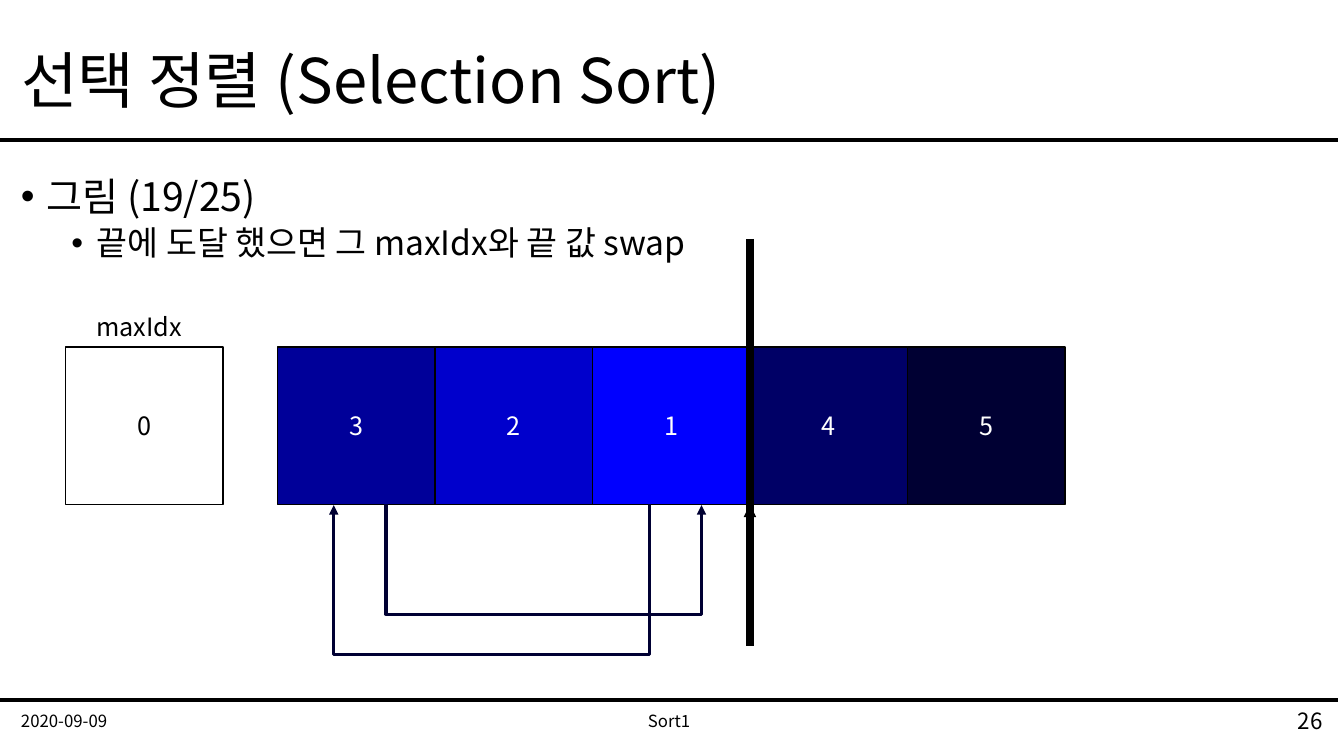
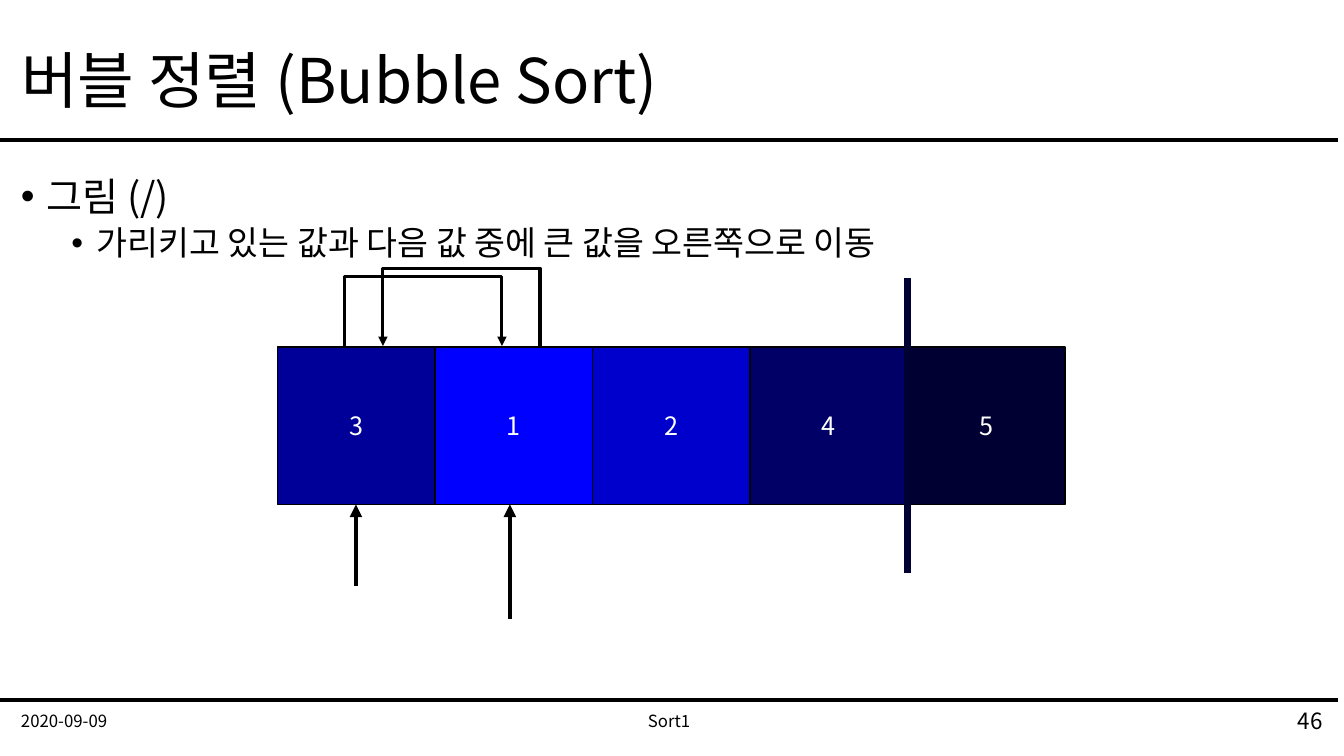
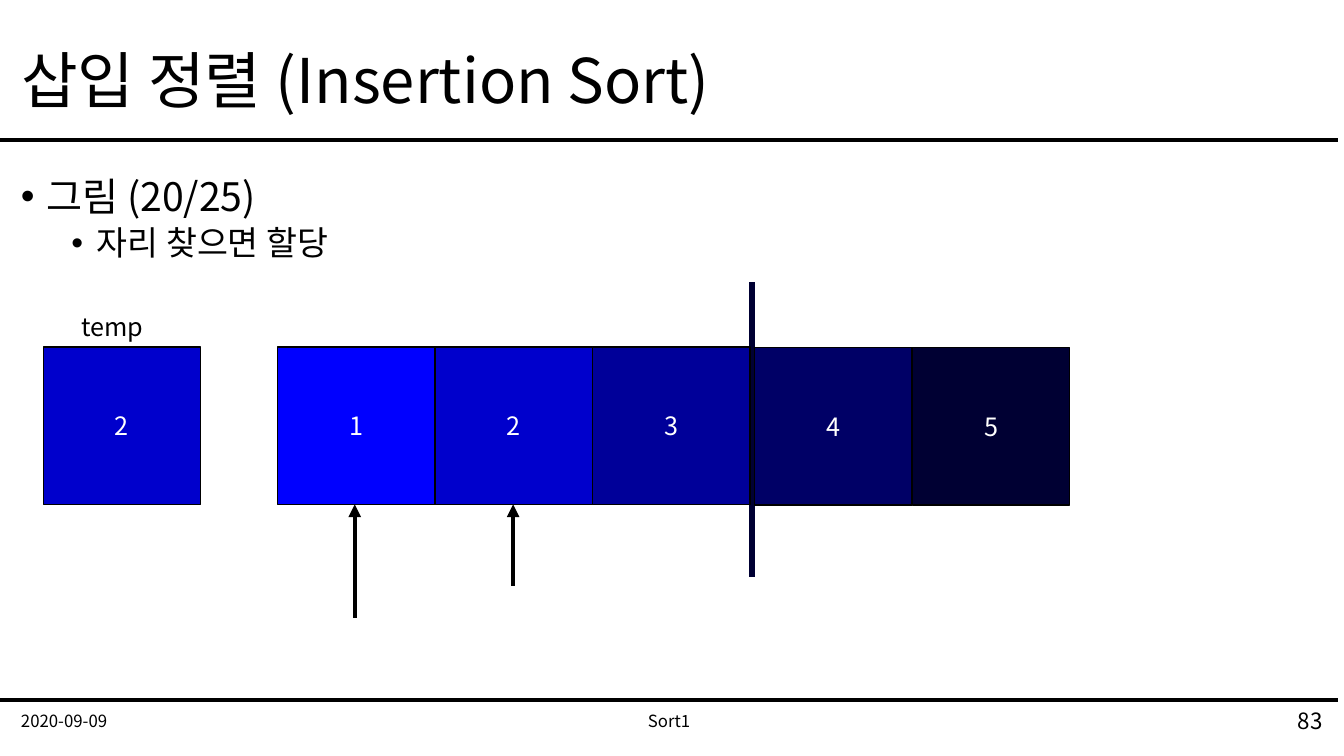
from lxml.etree import SubElement
from pptx import Presentation
from pptx.dml.color import RGBColor
from pptx.enum.shapes import MSO_CONNECTOR as Connector, MSO_SHAPE as Shape
from pptx.enum.text import MSO_ANCHOR as Anchor, PP_ALIGN as Align
from pptx.oxml.ns import qn
from pptx.util import Cm, Pt

FONT = "Noto Sans CJK KR"
BLACK, WHITE, NAVY = "000000", "FFFFFF", "000033"
SIDE, ROW_LEFT, ROW_TOP = 3.97, 6.99, 8.74
ROW_BOTTOM = ROW_TOP + SIDE
MARGIN, FULL_WIDTH = 0.28, 33.3
FOOTER_TOP, FOOTER_HEIGHT = 17.65, 1.02
BEND = 0.04


def color(value):
    return RGBColor.from_string(value)


def style(para, size, ink=BLACK, align=Align.LEFT):
    para.alignment = align
    for span in para.runs:
        span.font.size = Pt(size)
        span.font.name = FONT
        span.font.color.rgb = color(ink)
        SubElement(span.font._element, qn("a:ea"), typeface=FONT)


def add_text(slide, area, text, size, align=Align.LEFT, anchor=Anchor.MIDDLE):
    box = slide.shapes.add_textbox(*map(Cm, area))
    frame = box.text_frame
    frame.word_wrap = True
    frame.vertical_anchor = anchor
    frame.text = text
    style(frame.paragraphs[0], size, align=align)


def add_bullets(slide, heading, detail):
    box = slide.shapes.add_textbox(Cm(MARGIN), Cm(4.34), Cm(FULL_WIDTH), Cm(12.78))
    frame = box.text_frame
    frame.word_wrap = True
    frame.text = f"{heading}\n{detail}"
    levels = ((28, 10, 0.64), (24, 5, 1.91))
    for level, (para, (size, space, indent)) in enumerate(zip(frame.paragraphs, levels)):
        para.level = level
        para.line_spacing = 0.9
        para.space_before = Pt(space)
        style(para, size)
        properties = para._p.get_or_add_pPr()
        properties.set("marL", str(Cm(indent)))
        properties.set("indent", str(-Cm(0.64)))
        SubElement(properties, qn("a:buFont"), typeface="Arial")
        SubElement(properties, qn("a:buChar"), char="•")


def add_line(slide, start, end, width, ink=BLACK, arrow=False, kind=Connector.STRAIGHT):
    line = slide.shapes.add_connector(kind, *map(Cm, (*start, *end)))
    line.line.width = Pt(width)
    line.line.color.rgb = color(ink)
    if arrow:
        SubElement(line.line._get_or_add_ln(), qn("a:tailEnd"), type="triangle")
    SubElement(line._element.spPr, qn("a:effectLst"))
    return line


def add_swap_arrow(slide, start_x, end_x, y, depth, ink, below):
    rightward = end_x > start_x
    middle, half = (start_x + end_x) / 2, abs(end_x - start_x) / 2
    line = add_line(slide, (middle - BEND / 2, y - half), (middle + BEND / 2, y + half),
                    2.25, ink, arrow=True, kind=Connector.ELBOW)
    properties = line._element.spPr
    frame = properties.find(qn("a:xfrm"))
    frame.set("rot", str((270 if rightward == below else 90) * 60000))
    frame.set("flipH", str(int(rightward)))
    frame.set("flipV", str(int(not below)))
    guides = properties.find(qn("a:prstGeom")).find(qn("a:avLst"))
    SubElement(guides, qn("a:gd"), name="adj1", fmla=f"val {round(depth / BEND * 100000)}")


def add_cell(slide, left, top, text, fill, ink=WHITE):
    cell = slide.shapes.add_shape(Shape.RECTANGLE, *map(Cm, (left, top, SIDE, SIDE)))
    cell.shadow.inherit = False
    cell.fill.solid()
    cell.fill.fore_color.rgb = color(fill)
    cell.line.color.rgb = color(BLACK)
    cell.line.width = Pt(1)
    cell.text_frame.vertical_anchor = Anchor.MIDDLE
    cell.text_frame.text = text
    style(cell.text_frame.paragraphs[0], 18, ink, Align.CENTER)


def add_cells(slide, values, left=ROW_LEFT, top=ROW_TOP):
    for index, value in enumerate(values):
        shade = f"0000{(6 - value) * 0x33:02X}"
        add_cell(slide, left + index * SIDE, top, str(value), shade)


def add_pointer(slide, x, bottom):
    add_line(slide, (x, bottom), (x, ROW_BOTTOM), 3, arrow=True)


def add_label(slide, left, width, text):
    add_text(slide, (left, 7.72, width, 1.02), text, 18, anchor=Anchor.TOP)


def add_layout_rules(slide):
    for number, y in enumerate((3.53, 17.63), start=20):
        rule = add_line(slide, (0, y), (33.73, y), 3)._element
        rule.nvCxnSpPr.cNvPr.set("id", str(number))
        slide.slide_layout.shapes._spTree.append(rule)


def add_slide(deck, title, heading, detail, number):
    slide = deck.slides.add_slide(deck.slide_layouts[5])
    box = slide.shapes.title
    box.left, box.top, box.width, box.height = map(Cm, (MARGIN, 0.38, FULL_WIDTH, 3.43))
    box.text_frame.text = title
    box.text_frame.vertical_anchor = Anchor.MIDDLE
    para = box.text_frame.paragraphs[0]
    para.line_spacing = 0.9
    style(para, 44)
    add_bullets(slide, heading, detail)
    footers = (
        (25.96, 7.62, number, 16, Align.RIGHT),
        (MARGIN, 7.62, "2020-09-09", 12, Align.LEFT),
        (11.15, 11.43, "Sort1", 12, Align.CENTER),
    )
    for left, width, text, size, align in footers:
        add_text(slide, (left, FOOTER_TOP, width, FOOTER_HEIGHT), text, size, align)
    return slide


def add_selection_slide(deck):
    slide = add_slide(deck, "선택 정렬 (Selection Sort)", "그림 (19/25)",
                      "끝에 도달 했으면 그 maxIdx와 끝 값 swap", "26")
    add_layout_rules(slide)
    add_cells(slide, (3, 2, 1, 4, 5))
    divider = ROW_LEFT + 3 * SIDE
    add_pointer(slide, divider, 14.76)
    add_cell(slide, 1.65, ROW_TOP, "0", WHITE, BLACK)
    add_label(slide, 2.18, 2.92, "maxIdx")
    add_line(slide, (divider, 6.02), (divider, 16.28), 6)
    add_swap_arrow(slide, 9.73, 17.68, ROW_BOTTOM, 2.79, NAVY, below=True)
    add_swap_arrow(slide, 16.36, 8.41, ROW_BOTTOM, 3.81, NAVY, below=True)


def add_bubble_slide(deck):
    slide = add_slide(deck, "버블 정렬 (Bubble Sort)", "그림 (/)",
                      "가리키고 있는 값과 다음 값 중에 큰 값을 오른쪽으로 이동", "46")
    add_cells(slide, (3, 1, 2, 4, 5))
    add_pointer(slide, 8.97, 14.76)
    add_pointer(slide, 12.85, 15.6)
    divider = ROW_LEFT + 4 * SIDE
    add_line(slide, (divider, 7.01), (divider, 14.43), 4.5, NAVY)
    add_swap_arrow(slide, 8.69, 12.65, ROW_TOP, 1.8, BLACK, below=False)
    add_swap_arrow(slide, 13.61, 9.65, ROW_TOP, 2, BLACK, below=False)


def add_insertion_slide(deck):
    slide = add_slide(deck, "삽입 정렬 (Insertion Sort)", "그림 (20/25)",
                      "자리 찾으면 할당", "83")
    add_line(slide, (18.95, 7.11), (18.95, 14.55), 4.5, NAVY)
    add_cells(slide, (1, 2, 3))
    add_cells(slide, (4, 5), left=19.02, top=8.76)
    add_pointer(slide, 12.93, 14.76)
    add_pointer(slide, 8.94, 15.57)
    add_cells(slide, (2,), left=1.09)
    add_label(slide, 1.8, 2.46, "temp")


def main():
    deck = Presentation()
    deck.slide_width, deck.slide_height = Cm(33.87), Cm(19.05)
    add_selection_slide(deck)
    add_bubble_slide(deck)
    add_insertion_slide(deck)
    deck.save("out.pptx")


main()
